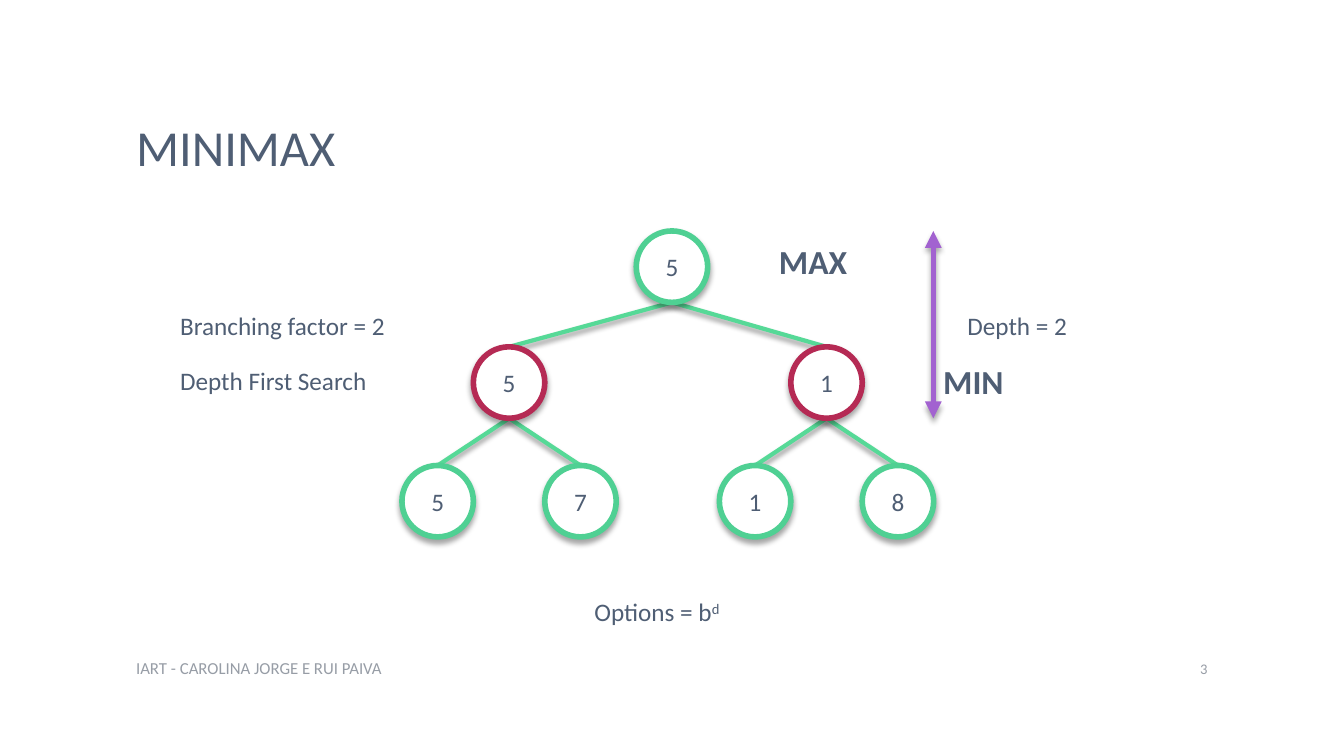
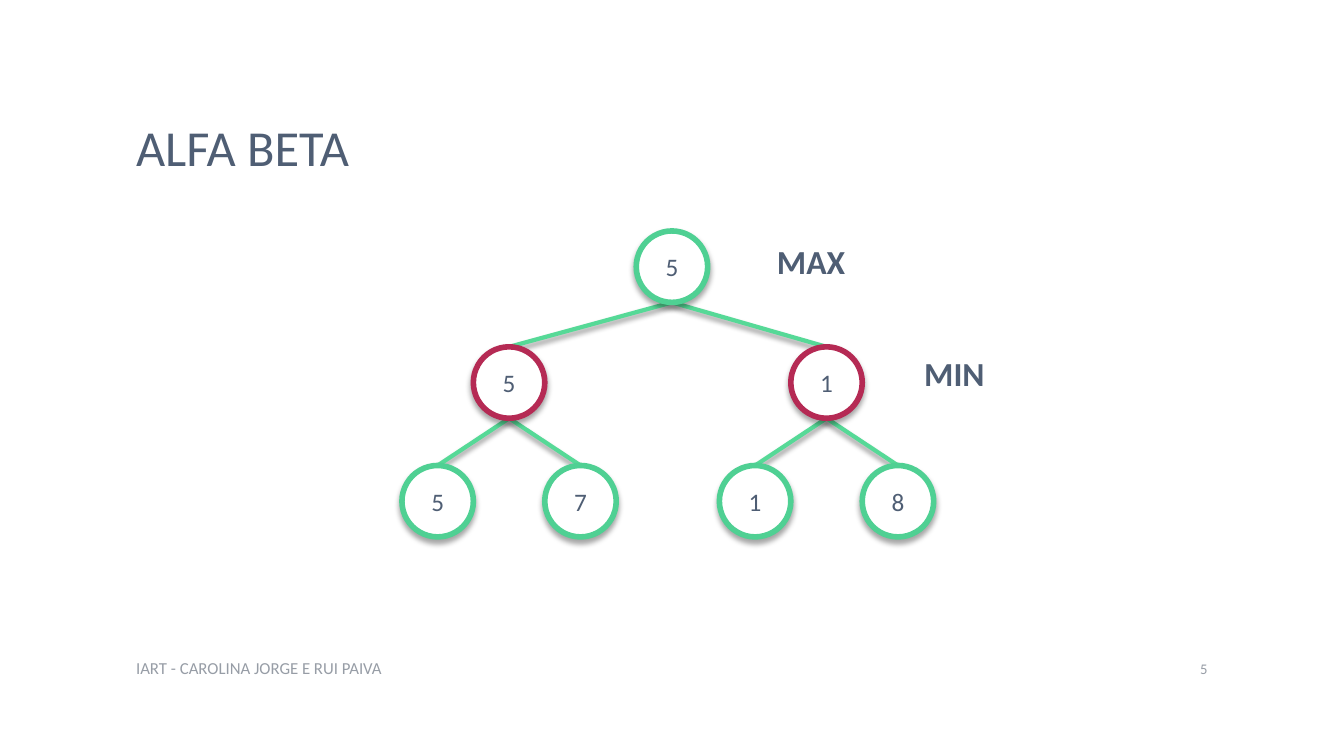
from dataclasses import dataclass

from lxml.etree import SubElement
from pptx import Presentation
from pptx.dml.color import RGBColor as Rgb
from pptx.enum.shapes import MSO_CONNECTOR as Wire, MSO_SHAPE as Form
from pptx.enum.text import MSO_ANCHOR as Anchor, PP_ALIGN as Align
from pptx.oxml.ns import qn
from pptx.util import Cm, Pt


@dataclass(frozen=True)
class Theme:
    font: str = "Calibri"
    ink: str = "4F5E74"
    pale: str = "979DA6"
    paper: str = "FFFFFF"
    edge: str = "56D997"
    high: str = "4FD093"
    low: str = "B52A54"
    span: str = "A262D0"
    head: float = 36
    level: float = 24
    body: float = 18
    foot: float = 12
    page: float = 10.5
    thick: float = 4
    thin: float = 3


WIDTH, HEIGHT = 33.87, 19.05
NODE = 1.8
ROWS = (5.82, 8.74, 11.73)  # tops of the tree's levels
ROOT = WIDTH / 2
NOTE = 4.29
# Each node: value, centre, children
TREE = (5, ROOT, [
    (value, x, [(leaf, x + side * NODE, []) for leaf, side in zip(leaves, (-1, 1))])
    for value, x, leaves in ((5, 12.83, (5, 7)), (1, 20.83, (1, 8)))
])


class Deck:
    def __init__(self, theme):
        self.theme = theme
        self.file = Presentation()
        self.file.slide_width, self.file.slide_height = Cm(WIDTH), Cm(HEIGHT)

    def start(self, title, page):
        """Add a slide with its title, footer and page number."""
        look = self.theme
        self.slide = self.file.slides.add_slide(self.file.slide_layouts[6])
        head = self.text(title, 3.18, 1.73, 27.51, 4.11, look.head, anchor=Anchor.MIDDLE)
        head.line_spacing = 0.9
        self.text("IART - CAROLINA JORGE E RUI PAIVA", 3.18, 16.33, 17.32, 1.02,
                  look.foot, look.pale, anchor=Anchor.MIDDLE)
        num = self.text(str(page), 28.55, 16.33, 2.13, 1.02,
                        look.page, look.pale, anchor=Anchor.MIDDLE)
        num.alignment = Align.RIGHT

    def type(self, para, size, color=None, bold=False):
        """Set the font of a paragraph."""
        font = para.font
        font.name, font.size, font.bold = self.theme.font, Pt(size), bold
        font.color.rgb = Rgb.from_string(color or self.theme.ink)

    def text(self, words, x, y, w, h=1.02, size=None, color=None, bold=False,
             anchor=Anchor.TOP):
        frame = self.slide.shapes.add_textbox(Cm(x), Cm(y), Cm(w), Cm(h)).text_frame
        frame.word_wrap, frame.vertical_anchor = True, anchor
        para = frame.paragraphs[0]
        para.add_run().text = words
        self.type(para, size or self.theme.body, color, bold)
        return para

    def label(self, words, x, y):
        """Name the player of a tree level."""
        self.text(words, x, y, 2.62, 1.27, self.theme.level, bold=True)

    def stroke(self, shape, color, width, alpha):
        """Set the line of a shape and the soft shadow below it."""
        shape.line.color.rgb = Rgb.from_string(color)
        shape.line.width = Pt(width)
        fx = SubElement(shape._element.spPr, qn("a:effectLst"))
        cast = SubElement(fx, qn("a:outerShdw"), blurRad=str(Pt(4)), dist=str(Pt(3)),
                          dir="5400000", rotWithShape="0")
        black = SubElement(cast, qn("a:srgbClr"), val="000000")
        SubElement(black, qn("a:alpha"), val=str(alpha * 1000))

    def line(self, x1, y1, x2, y2, color, width, alpha=40):
        wire = self.slide.shapes.add_connector(
            Wire.STRAIGHT, Cm(x1), Cm(y1), Cm(x2), Cm(y2))
        self.stroke(wire, color, width, alpha)
        return wire

    def arrow(self, x, top, end):
        """Draw an upright arrow with two heads."""
        wire = self.line(x, top, x, end, self.theme.span, self.theme.thick, 35)
        for tip in ("a:headEnd", "a:tailEnd"):
            SubElement(wire.line._get_or_add_ln(), qn(tip), type="triangle")

    def node(self, value, x, row):
        ring = self.slide.shapes.add_shape(
            Form.OVAL, Cm(x - NODE / 2), Cm(ROWS[row]), Cm(NODE), Cm(NODE))
        ring.fill.solid()
        ring.fill.fore_color.rgb = Rgb.from_string(self.theme.paper)
        self.stroke(ring, self.theme.low if row % 2 else self.theme.high,
                    self.theme.thick, 35)
        frame = ring.text_frame
        frame.margin_left = frame.margin_right = frame.margin_top = frame.margin_bottom = 0
        frame.vertical_anchor = Anchor.MIDDLE
        para = frame.paragraphs[0]
        para.text, para.alignment = str(value), Align.CENTER
        self.type(para, self.theme.body)
        return ring

    def tree(self, root, row=0):
        """Draw a node over its branches and return its circle."""
        value, x, kids = root
        for kid in kids:
            wire = self.line(x, ROWS[row] + NODE, kid[1], ROWS[row + 1],
                             self.theme.edge, self.theme.thin)
            wire.end_connect(self.tree(kid, row + 1), 0)
        return self.node(value, x, row)


def minimax(deck):
    deck.start("MINIMAX", 3)
    deck.tree(TREE)
    deck.label("MAX", 19.38, 5.94)
    deck.label("MIN", 23.52, 8.97)
    deck.arrow(23.52, ROWS[0], ROWS[1] + NODE)
    deck.text("Depth = 2", 24.13, 7.7, 3.81)
    deck.text("Branching factor = 2", NOTE, 7.7, 5.84)
    deck.text("Depth First Search", NOTE, 9.09, 5.54)
    power = deck.text("Options = b", 14.73, 14.91, 4.4).add_run()
    power.text = "d"
    power.font._element.set("baseline", "30000")


def alfa(deck):
    deck.start("ALFA BETA", 5)
    deck.tree(TREE)
    deck.label("MAX", 19.33, 5.94)
    deck.label("MIN", 23.04, 8.76)


def main():
    deck = Deck(Theme())
    minimax(deck)
    alfa(deck)
    deck.file.save("out.pptx")


if __name__ == "__main__":
    main()
